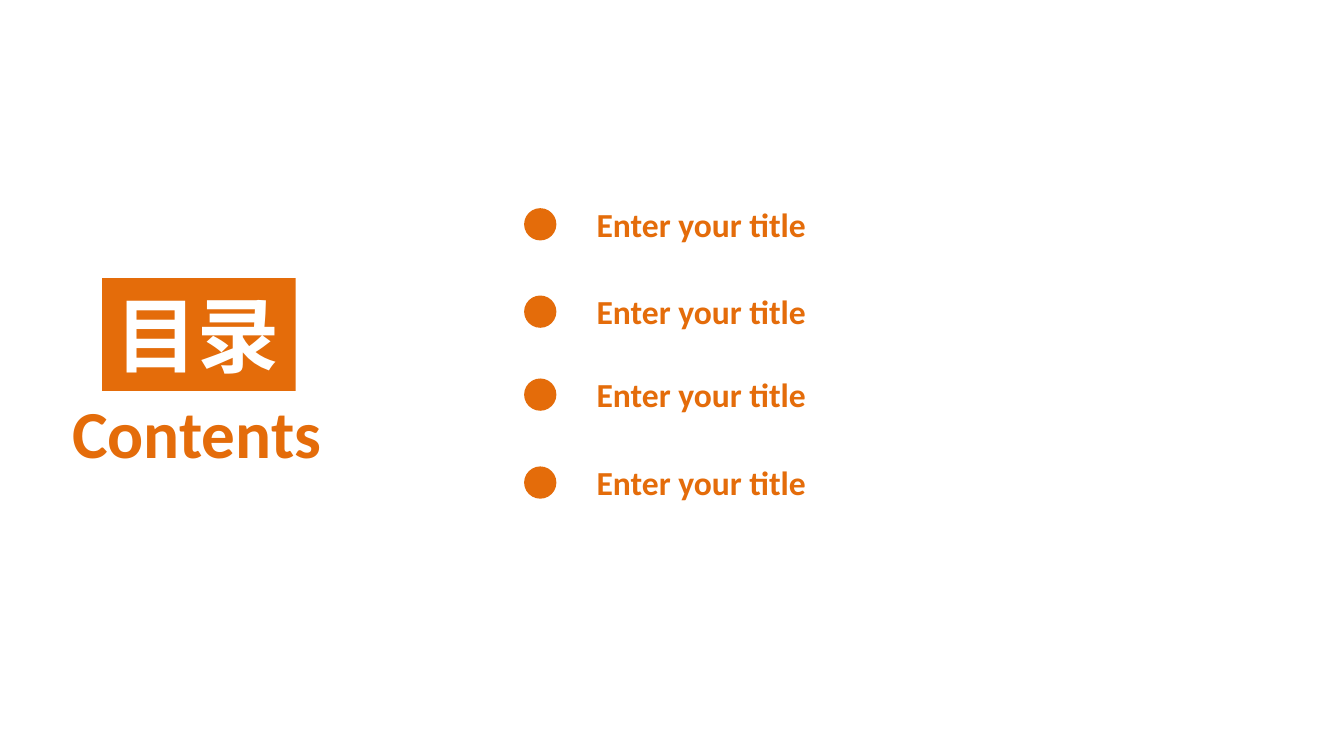
from dataclasses import dataclass

from lxml import etree
from pptx import Presentation
from pptx.dml.color import RGBColor
from pptx.enum.shapes import MSO_SHAPE
from pptx.enum.text import MSO_ANCHOR, MSO_AUTO_SIZE, PP_ALIGN
from pptx.oxml.ns import qn
from pptx.util import Pt

RECT, OVAL = MSO_SHAPE.RECTANGLE, MSO_SHAPE.OVAL
TOP, MIDDLE = MSO_ANCHOR.TOP, MSO_ANCHOR.MIDDLE
LEFT = PP_ALIGN.LEFT
GROW, FIXED = MSO_AUTO_SIZE.SHAPE_TO_FIT_TEXT, MSO_AUTO_SIZE.NONE


@dataclass(frozen=True)
class Theme:
    accent: RGBColor = RGBColor(0xE4, 0x6C, 0x0A)
    white: RGBColor = RGBColor(0xFF, 0xFF, 0xFF)
    latin_font: str = "Calibri"
    chinese_font: str = "Noto Sans CJK SC"
    heading_size: int = 44
    subheading_size: int = 36
    entry_size: int = 18
    veil_opacity: int = 50


THEME = Theme()
ENTRIES = ["Enter your title"] * 4
ENTRY_TOPS = [105.84, 152.64, 197.1, 244.2]
ENTRY_LEFT, ENTRY_WIDTH, ENTRY_HEIGHT = 312.5, 317.5, 28.1
DOT_LEFT, DOT_SIZE, DOT_DROP = 280.8, 17.3, 5.7


def apply_format(target, values):
    for name, value in values.items():
        setattr(target, name, value)


def add_block(slide, kind, box, color, opacity=100):
    """Add a borderless filled shape; box is left, top, width, height."""
    block = slide.shapes.add_shape(kind, *map(Pt, box))
    block.shadow.inherit = False
    block.line.fill.background()
    block.fill.solid()
    block.fill.fore_color.rgb = color
    if opacity < 100:
        tint = block.fill._xPr.find(".//" + qn("a:srgbClr"))
        etree.SubElement(tint, qn("a:alpha"), val=str(opacity * 1000))
    return block


def write_text(holder, wording, size, color, font, wrap=False):
    frame = holder.text_frame
    apply_format(frame, {
        "word_wrap": wrap,
        "auto_size": FIXED if wrap else GROW,
        "vertical_anchor": MIDDLE if wrap else TOP,
    })
    line = frame.paragraphs[0]
    line.alignment = LEFT
    run = line.add_run()
    run.text = wording
    apply_format(run.font, {"name": font, "size": Pt(size), "bold": True})
    run.font.color.rgb = color
    # East Asian glyphs take their typeface from a separate element
    etree.SubElement(run.font._element, qn("a:ea"), typeface=font)


def add_heading(slide):
    subheading = slide.shapes.add_textbox(*map(Pt, (31.7, 205.9, 149, 51.1)))
    write_text(subheading, "Contents", THEME.subheading_size,
               THEME.accent, THEME.latin_font)
    heading = add_block(slide, RECT, (54.7, 149, 103.7, 60.5), THEME.accent)
    write_text(heading, "目录", THEME.heading_size,
               THEME.white, THEME.chinese_font)


def add_entry(slide, title, top):
    add_block(slide, OVAL, (DOT_LEFT, top + DOT_DROP, DOT_SIZE, DOT_SIZE),
              THEME.accent)
    entry = add_block(slide, RECT,
                      (ENTRY_LEFT, top, ENTRY_WIDTH, ENTRY_HEIGHT),
                      THEME.white, THEME.veil_opacity)
    write_text(entry, title, THEME.entry_size, THEME.accent,
               THEME.latin_font, wrap=True)


def main():
    deck = Presentation()
    apply_format(deck, {"slide_width": Pt(720), "slide_height": Pt(405)})
    slide = deck.slides.add_slide(deck.slide_layouts[6])

    # Side panel with the heading
    add_block(slide, RECT, (0, 0.5, 212.4, 404.5), THEME.white,
              THEME.veil_opacity)
    add_heading(slide)

    # List of sections
    for title, top in zip(ENTRIES, ENTRY_TOPS):
        add_entry(slide, title, top)

    deck.save("out.pptx")


if __name__ == "__main__":
    main()
